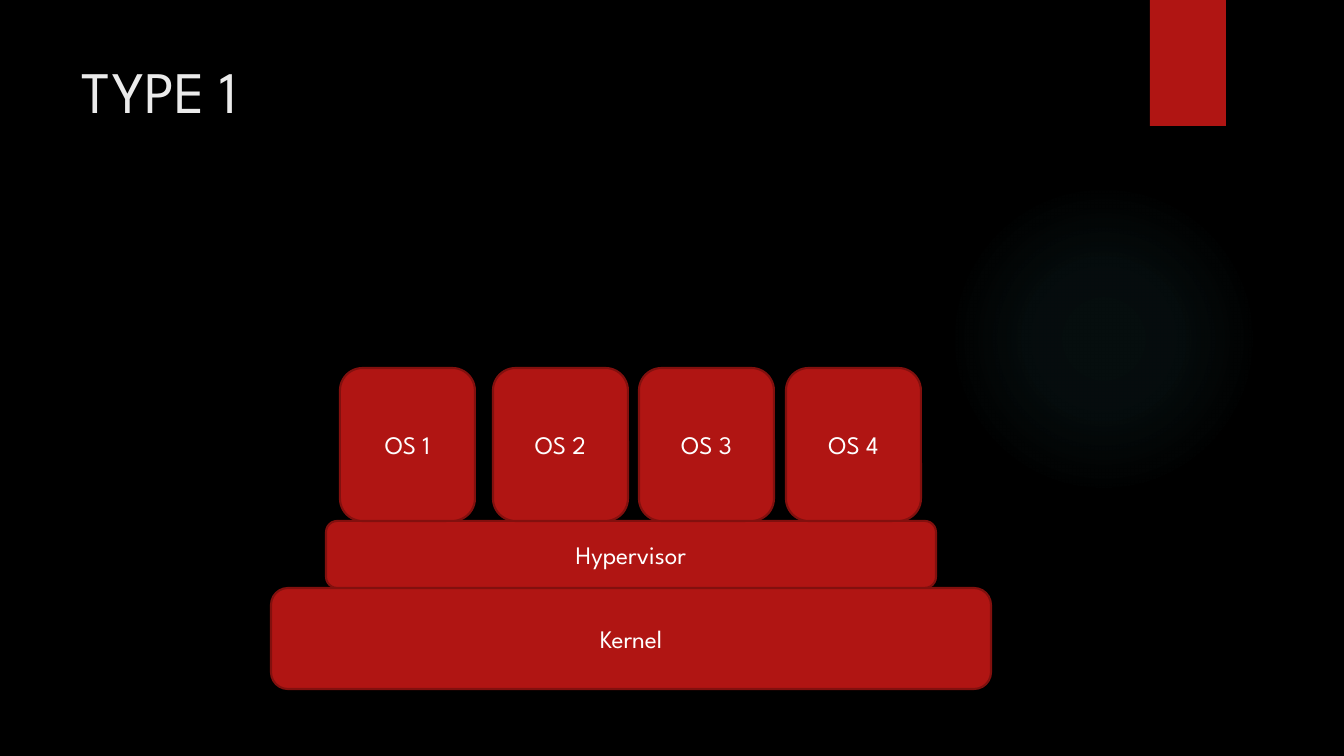
from dataclasses import dataclass

import pptx
import pptx.dml.color
import pptx.enum.shapes
import pptx.enum.text
import pptx.oxml
import pptx.oxml.ns
import pptx.shapes.autoshape
import pptx.slide
import pptx.text.text
import pptx.util

RGBColor = pptx.dml.color.RGBColor
MSO_SHAPE = pptx.enum.shapes.MSO_SHAPE

SLIDE_WIDTH, SLIDE_HEIGHT = 1344, 756
EMU_PER_PIXEL = 914400 / 100.8
FONT = "League Spartan"

BLACK = RGBColor(0x00, 0x00, 0x00)
RED = RGBColor(0xB0, 0x15, 0x13)
DARK_RED = RGBColor(0x82, 0x10, 0x0E)
TEAL = RGBColor(0x50, 0xB9, 0xC1)
WHITE = RGBColor(0xFF, 0xFF, 0xFF)
OFF_WHITE = RGBColor(0xEB, 0xEB, 0xEB)


@dataclass(frozen=True)
class Box:
    left: int
    top: int
    width: int
    height: int

    def emu(self) -> list[pptx.util.Emu]:
        lengths = (self.left, self.top, self.width, self.height)
        return [pixels(length) for length in lengths]


@dataclass(frozen=True)
class Layer:
    label: str
    box: Box


def pixels(length: int) -> pptx.util.Emu:
    return pptx.util.Emu(round(length * EMU_PER_PIXEL))


def add_plain_shape(slide: pptx.slide.Slide, kind: MSO_SHAPE,
                    box: Box) -> pptx.shapes.autoshape.Shape:
    shape = slide.shapes.add_shape(kind, *box.emu())
    shape.shadow.inherit = False
    shape.fill.solid()
    shape.fill.fore_color.rgb = RED
    shape.line.fill.background()
    return shape


def add_text(frame: pptx.text.text.TextFrame, text: str, size: int,
             color: RGBColor) -> None:
    frame.word_wrap = True
    run = frame.paragraphs[0].add_run()
    run.text = text
    run.font.name = FONT
    run.font.size = pptx.util.Pt(size)
    run.font.color.rgb = color


def add_glow(slide: pptx.slide.Slide, box: Box) -> None:
    shape = add_plain_shape(slide, MSO_SHAPE.OVAL, box)
    stops = "".join(
        f'<a:gs pos="{position * 1000}"><a:srgbClr val="{TEAL}">'
        f'<a:alpha val="{opacity * 1000}"/></a:srgbClr></a:gs>'
        for position, opacity in ((0, 7), (36, 6), (69, 0)))
    gradient = pptx.oxml.parse_xml(
        f'<a:gradFill {pptx.oxml.ns.nsdecls("a")} rotWithShape="1">'
        f'<a:gsLst>{stops}</a:gsLst><a:path path="circle">'
        '<a:fillToRect l="50000" t="50000" r="50000" b="50000"/>'
        '</a:path></a:gradFill>')
    properties = shape.element.spPr
    solid = properties.find(pptx.oxml.ns.qn("a:solidFill"))
    properties.replace(solid, gradient)


def add_layer(slide: pptx.slide.Slide, layer: Layer) -> None:
    shape = add_plain_shape(slide, MSO_SHAPE.ROUNDED_RECTANGLE, layer.box)
    shape.line.color.rgb = DARK_RED
    shape.line.width = pptx.util.Pt(1.5)
    frame = shape.text_frame
    frame.vertical_anchor = pptx.enum.text.MSO_ANCHOR.MIDDLE
    frame.paragraphs[0].alignment = pptx.enum.text.PP_ALIGN.CENTER
    add_text(frame, layer.label, 18, WHITE)


presentation = pptx.Presentation()
presentation.slide_width = pixels(SLIDE_WIDTH)
presentation.slide_height = pixels(SLIDE_HEIGHT)
slide = presentation.slides.add_slide(presentation.slide_layouts[6])

# Background, glow and corner tab
slide.background.fill.solid()
slide.background.fill.fore_color.rgb = BLACK
add_glow(slide, Box(949, 184, 310, 310))
add_plain_shape(slide, MSO_SHAPE.RECTANGLE, Box(1150, 0, 76, 126))

# Title
title = slide.shapes.add_textbox(*Box(72, 50, 1037, 154).emu())
add_text(title.text_frame, "TYPE 1", 42, OFF_WHITE)

# Hypervisor stack, from the kernel up to the guest systems
OS_LEFTS = (340, 493, 639, 786)
LAYERS = [
    Layer("Kernel", Box(271, 588, 720, 101)),
    Layer("Hypervisor", Box(326, 521, 610, 67)),
    *(Layer(f"OS {number}", Box(left, 368, 135, 153))
      for number, left in enumerate(OS_LEFTS, start=1)),
]
for layer in LAYERS:
    add_layer(slide, layer)

presentation.save("out.pptx")
